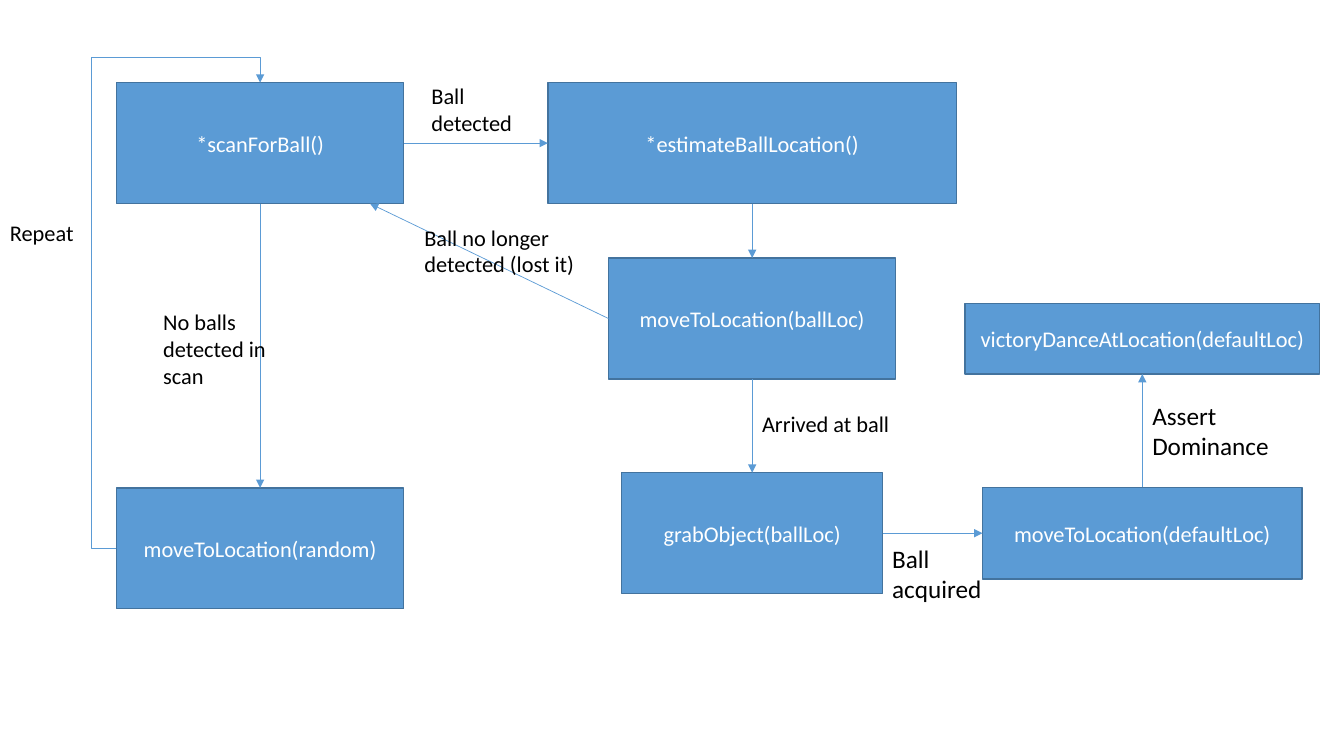
"""Build a flowchart slide of a robot's ball-fetching states."""
from lxml.etree import SubElement
from pptx import Presentation
from pptx.dml.color import RGBColor
from pptx.enum.shapes import MSO_CONNECTOR as CONN, MSO_SHAPE as SHAPE
from pptx.enum.text import MSO_ANCHOR as ANCHOR, PP_ALIGN as ALIGN
from pptx.oxml.ns import qn
from pptx.util import Inches, Pt

THEME = dict(font="Calibri", fill="5B9BD5", edge="43739E", line="5B9BD5",
             box_text="FFFFFF", label_text="000000", size=16, large=18,
             edge_width=1, line_width=0.5)

LEFT_COL, MID_COL, RIGHT_COL = 2.58, 7.46, 11.33
TOP, LEFT, BOTTOM, RIGHT = range(4)

# name: (text, centre x, centre y, width, height)
STATES = {
    "scan": ("*scanForBall()", LEFT_COL, 1.42, 2.85, 1.2),
    "wander": ("moveToLocation(random)", LEFT_COL, 5.44, 2.85, 1.2),
    "estimate": ("*estimateBallLocation()", MID_COL, 1.42, 4.05, 1.2),
    "approach": ("moveToLocation(ballLoc)", MID_COL, 3.16, 2.85, 1.2),
    "grab": ("grabObject(ballLoc)", MID_COL, 5.29, 2.59, 1.2),
    "home": ("moveToLocation(defaultLoc)", RIGHT_COL, 5.29, 3.17, 0.91),
    "dance": ("victoryDanceAtLocation(defaultLoc)", RIGHT_COL, 3.36, 3.52, 0.7),
}
LINKS = [
    ("scan", BOTTOM, "wander", TOP),
    ("scan", RIGHT, "estimate", LEFT),
    ("estimate", BOTTOM, "approach", TOP),
    ("approach", BOTTOM, "grab", TOP),
    ("grab", RIGHT, "home", LEFT),
    ("home", TOP, "dance", BOTTOM),
]
LOST_BALL_END = (3.67, 2.02)
REPEAT_BENDS = {"adj1": -17500, "adj2": 105400}
LABELS = [
    ("No balls detected in scan", 1.52, 3.01, 1.29, 0.91, "size"),
    ("Ball detected", 4.18, 0.77, 1.29, 0.64, "size"),
    ("Repeat", 0, 2.12, 1.29, 0.37, "size"),
    ("Ball no longer detected (lost it)", 4.11, 2.17, 2.21, 0.64, "size"),
    ("Arrived at ball", 7.46, 4.02, 1.89, 0.37, "size"),
    ("Ball acquired", 8.75, 5.34, 1.29, 0.71, "large"),
    ("Assert Dominance", 11.33, 3.92, 1.45, 0.71, "large"),
]


def color(key):
    return RGBColor.from_string(THEME[key])


def write(sp, text, ink, size, align):
    tf = sp.text_frame
    tf.word_wrap = True
    tf.text = text
    p = tf.paragraphs[0]
    p.alignment = align
    font = p.runs[0].font
    font.name, font.size = THEME["font"], Pt(THEME[size])
    font.color.rgb = color(ink)
    return tf


def add_state(s, text, cx, cy, w, h):
    sp = s.shapes.add_shape(SHAPE.RECTANGLE, Inches(cx - w / 2),
                            Inches(cy - h / 2), Inches(w), Inches(h))
    sp.shadow.inherit = False
    sp.fill.solid()
    sp.fill.fore_color.rgb = color("fill")
    sp.line.color.rgb = color("edge")
    sp.line.width = Pt(THEME["edge_width"])
    write(sp, text, "box_text", "size", ALIGN.CENTER).vertical_anchor = ANCHOR.MIDDLE
    return sp


def add_arrow(s, kind, start, start_site, end=None, end_site=None, point=(0, 0)):
    x, y = map(Inches, point)
    cx = s.shapes.add_connector(kind, x, y, x, y)
    cx.begin_connect(start, start_site)
    if end is not None:
        cx.end_connect(end, end_site)
    cx.line.color.rgb = color("line")
    cx.line.width = Pt(THEME["line_width"])
    SubElement(cx.line._get_or_add_ln(), qn("a:tailEnd"), type="triangle")
    SubElement(cx._element.spPr, qn("a:effectLst"))
    return cx


def bend(cx, bends):
    xfrm = cx._element.spPr.find(qn("a:xfrm"))
    xfrm.attrib.pop("flipV", None)
    xfrm.set("rot", "10800000")
    xfrm.set("flipH", "1")
    geom = cx._element.spPr.find(qn("a:prstGeom"))
    geom.set("prst", "bentConnector4")
    guides = geom.find(qn("a:avLst"))
    if guides is None:
        guides = SubElement(geom, qn("a:avLst"))
    for name, value in bends.items():
        SubElement(guides, qn("a:gd"), name=name, fmla=f"val {value}")


prs = Presentation()
prs.slide_width, prs.slide_height = Inches(13.33), Inches(7.5)
s = prs.slides.add_slide(prs.slide_layouts[6])

boxes = {name: add_state(s, *state) for name, state in STATES.items()}
for start, start_site, end, end_site in LINKS:
    add_arrow(s, CONN.STRAIGHT, boxes[start], start_site, boxes[end], end_site)
add_arrow(s, CONN.STRAIGHT, boxes["approach"], LEFT, point=LOST_BALL_END)
bend(add_arrow(s, CONN.ELBOW, boxes["wander"], LEFT, boxes["scan"], TOP), REPEAT_BENDS)

for text, x, y, w, h, size in LABELS:
    sp = s.shapes.add_textbox(*map(Inches, (x, y, w, h)))
    write(sp, text, "label_text", size, ALIGN.LEFT)

prs.save("out.pptx")
